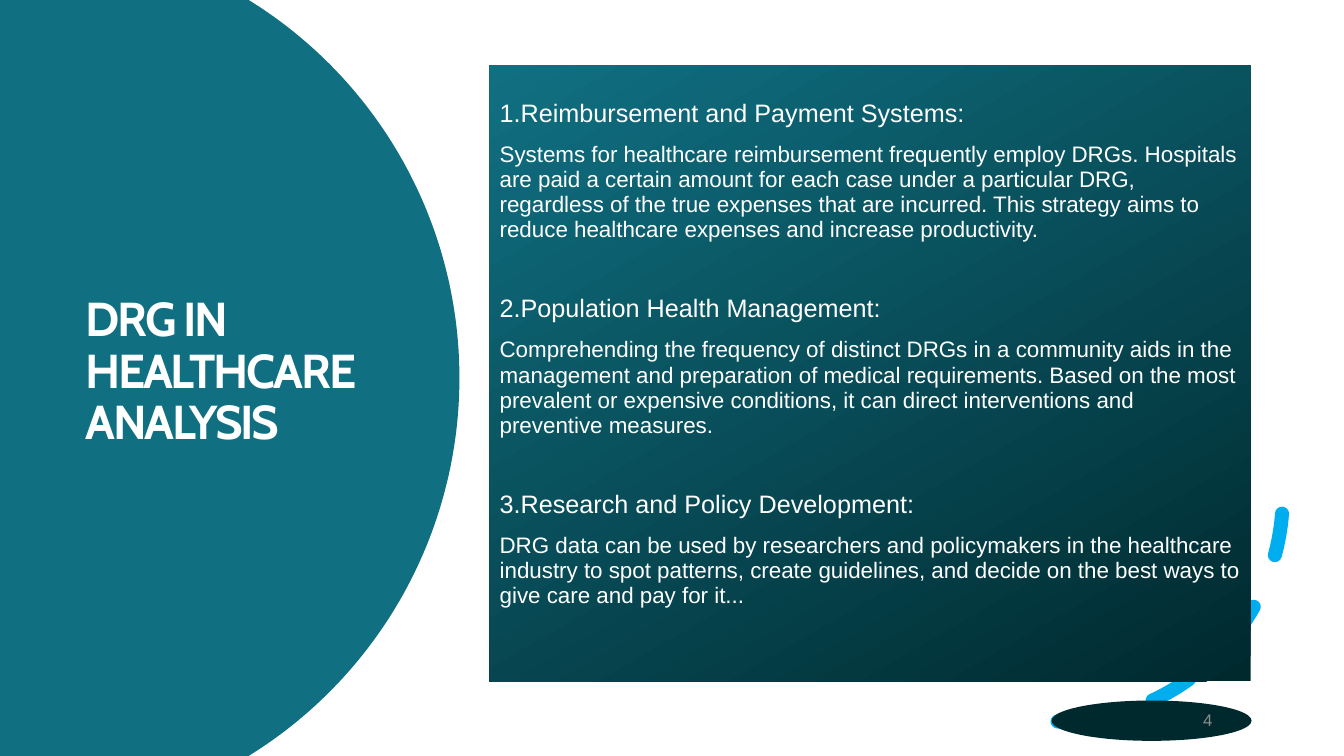
import math
from dataclasses import dataclass

import pptx
import pptx.dml.color
import pptx.enum.dml
import pptx.enum.shapes
import pptx.enum.text
import pptx.util

COLUMNS, ROWS = 160, 90
SLIDE_WIDTH = pptx.util.Inches(13.333)
SLIDE_HEIGHT = pptx.util.Inches(7.5)
SHAPES = pptx.enum.shapes.MSO_SHAPE
ALIGN = pptx.enum.text.PP_ALIGN
MIDDLE = pptx.enum.text.MSO_ANCHOR.MIDDLE


@dataclass(frozen=True)
class Theme:
    """Colours, fonts and type sizes of the slide."""
    teal: str = "107082"
    dark: str = "00292E"
    accent: str = "00AEEF"
    white: str = "FFFFFF"
    grey: str = "8C8C8C"
    title_font: str = "Cabin"
    body_font: str = "Arial"
    title_size: int = 34
    heading_size: int = 18
    body_size: int = 16
    number_size: int = 12


THEME = Theme()

TOPICS = [
    ("1.Reimbursement and Payment Systems:",
     "Systems for healthcare reimbursement frequently employ DRGs. Hospitals are paid a "
     "certain amount for each case under a particular DRG, regardless of the true expenses "
     "that are incurred. This strategy aims to reduce healthcare expenses and increase "
     "productivity."),
    ("2.Population Health Management:",
     "Comprehending the frequency of distinct DRGs in a community aids in the management "
     "and preparation of medical requirements. Based on the most prevalent or expensive "
     "conditions, it can direct interventions and preventive measures."),
    ("3.Research and Policy Development:",
     "DRG data can be used by researchers and policymakers in the healthcare industry to "
     "spot patterns, create guidelines, and decide on the best ways to give care and pay "
     "for it..."),
]


def grid(left, top, width, height):
    """Turn columns and rows into a box in slide units."""
    column, row = SLIDE_WIDTH / COLUMNS, SLIDE_HEIGHT / ROWS
    return round(left * column), round(top * row), round(width * column), round(height * row)


def rgb(code):
    """Return the colour for a hex code."""
    return pptx.dml.color.RGBColor.from_string(code)


def style(paragraph, size, color, font, line_spacing=0.9, space_after=0, align=ALIGN.LEFT):
    """Set the type and spacing of a paragraph."""
    paragraph.font.size = pptx.util.Pt(size)
    paragraph.font.color.rgb = rgb(color)
    paragraph.font.name = font
    paragraph.line_spacing = line_spacing
    paragraph.space_after = pptx.util.Pt(space_after)
    paragraph.alignment = align


def add_plain(slide, preset, box):
    """Add a preset shape without outline or shadow."""
    shape = slide.shapes.add_shape(preset, *box)
    shape.shadow.inherit = False
    shape.line.fill.background()
    return shape


def add_disc(slide, box):
    """Fill the box with a disc cut off by the slide's edges."""
    left, top, width, height = box
    radius = width * 0.967
    center_x, center_y = left + width - radius, top + height / 2
    reach = math.asin(height / 2 / radius)
    steps = 120
    angles = [reach * (2 * step / steps - 1) for step in range(steps + 1)]
    rim = [(center_x + radius * math.cos(a), center_y + radius * math.sin(a)) for a in angles]
    outline = slide.shapes.build_freeform(left, top)
    outline.add_line_segments(rim + [(left, top + height)], close=True)
    disc = outline.convert_to_shape()
    disc.shadow.inherit = False
    disc.line.fill.background()
    disc.fill.solid()
    disc.fill.fore_color.rgb = rgb(THEME.teal)


def add_title(slide, box):
    """Place the slide title in the box."""
    frame = slide.shapes.add_textbox(*box).text_frame
    frame.word_wrap = True
    frame.vertical_anchor = MIDDLE
    title = frame.paragraphs[0]
    run = title.add_run()
    run.text = "DRG IN HEALTHCARE ANALYSIS"
    style(title, THEME.title_size, THEME.white, THEME.title_font)
    title.font.bold = True
    run.font._element.set("spc", "-150")


def add_dashed_arc(slide, box):
    """Draw the dashed lower right quarter of a circle."""
    arc = slide.shapes.add_shape(SHAPES.ARC, *box)
    arc.shadow.inherit = False
    arc.fill.background()
    arc.line.color.rgb = rgb(THEME.accent)
    arc.line.width = pptx.util.Pt(10)
    arc.line.dash_style = pptx.enum.dml.MSO_LINE.DASH
    arc.line._get_or_add_ln().set("cap", "rnd")
    arc._element.spPr.xfrm.set("flipV", "1")


def add_topics(slide, box):
    """Place the gradient panel with its headed topics."""
    panel = add_plain(slide, SHAPES.RECTANGLE, box)
    panel.fill.gradient()
    panel.fill.gradient_angle = 120
    for stop, color in zip(panel.fill.gradient_stops, (THEME.dark, THEME.teal)):
        stop.color.rgb = rgb(color)
    frame = panel.text_frame
    frame.word_wrap = True
    frame.vertical_anchor = MIDDLE
    frame.margin_bottom = pptx.util.Inches(0.43)
    for index, (heading, body) in enumerate(TOPICS):
        lines = ((heading, THEME.heading_size, 10), (body, THEME.body_size, 37.4))
        for text, size, gap in lines:
            first = index == 0 and text == heading
            paragraph = frame.paragraphs[0] if first else frame.add_paragraph()
            paragraph.text = text
            style(paragraph, size, THEME.white, THEME.body_font, 0.94, gap)


def add_slide_number(slide, box):
    """Place the slide number in a dark oval."""
    oval = add_plain(slide, SHAPES.OVAL, box)
    oval.fill.solid()
    oval.fill.fore_color.rgb = rgb(THEME.dark)
    oval.text_frame.vertical_anchor = MIDDLE
    number = oval.text_frame.paragraphs[0]
    number.text = "4"
    style(number, THEME.number_size, THEME.grey, THEME.body_font, align=ALIGN.RIGHT)


def main():
    """Build the slide and save it."""
    deck = pptx.Presentation()
    deck.slide_width, deck.slide_height = SLIDE_WIDTH, SLIDE_HEIGHT
    slide = deck.slides.add_slide(deck.slide_layouts[6])
    add_disc(slide, grid(0, 0, 54.7, ROWS))
    add_title(slide, grid(9, 15.1, 42, 58.6))
    add_dashed_arc(slide, grid(99.1, 32.3, 53.6, 53.6))
    add_topics(slide, grid(58.3, 7.8, 90.6, 73.3))
    add_slide_number(slide, grid(125.2, 83.4, 23.8, 4.8))
    deck.save("out.pptx")


if __name__ == "__main__":
    main()
